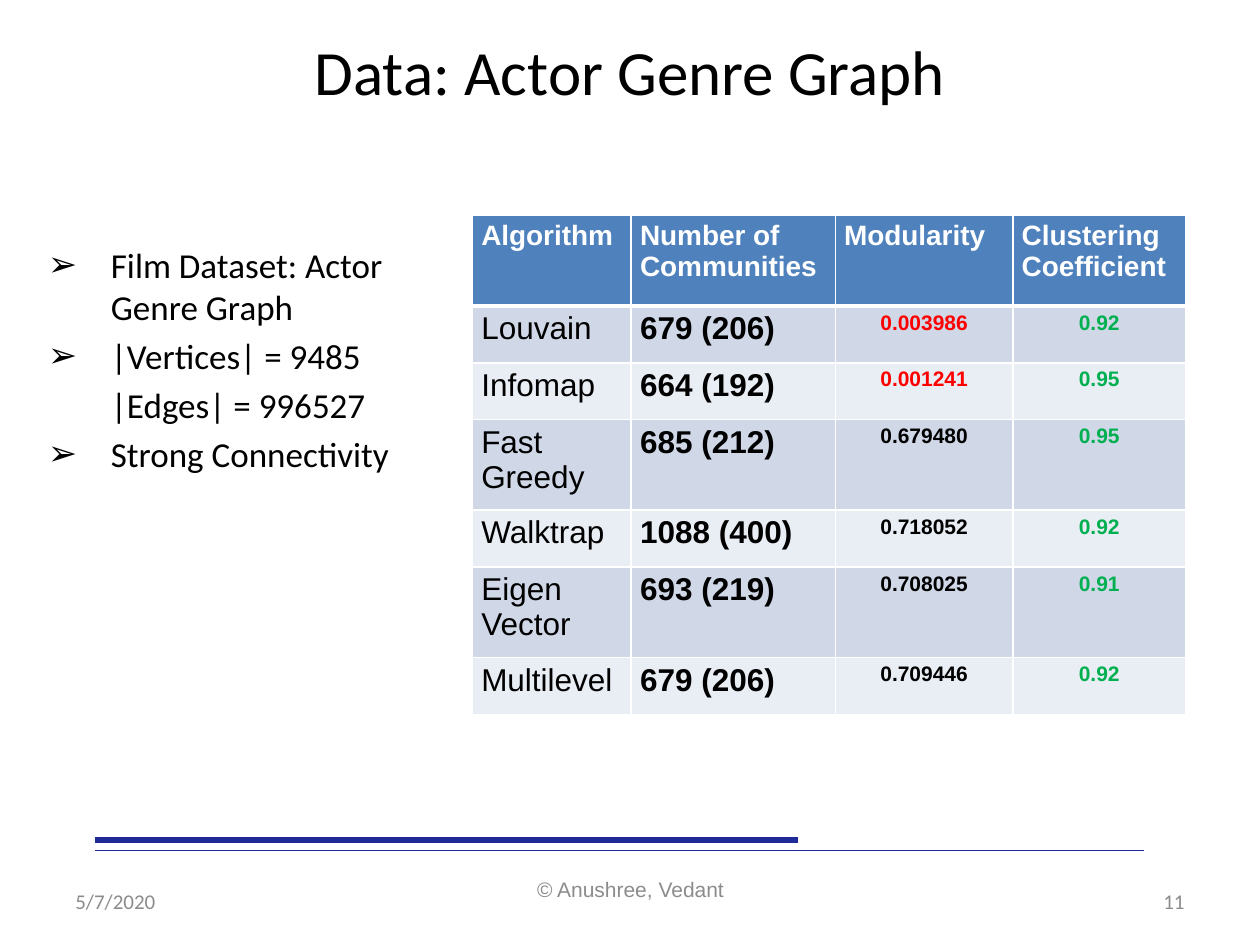
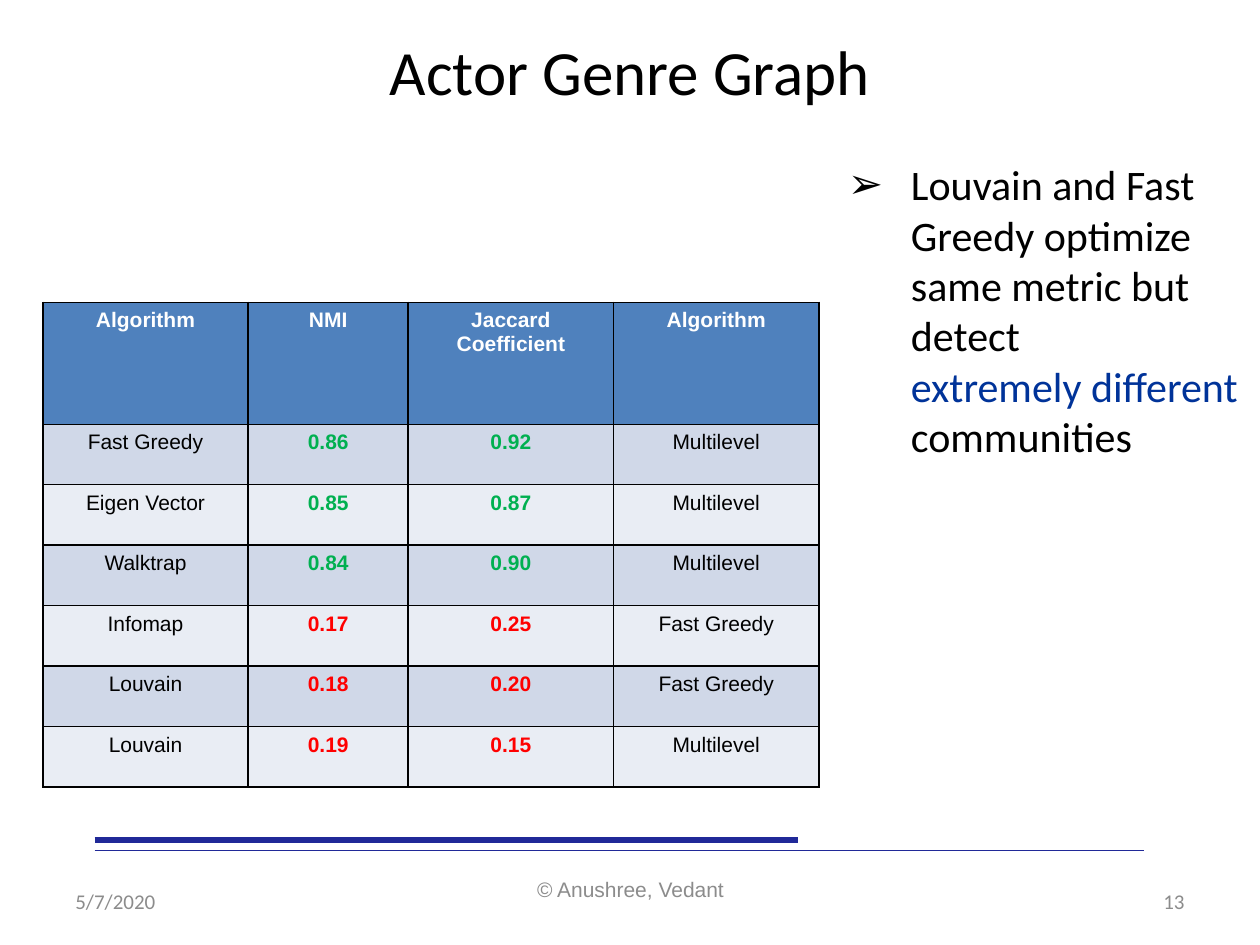
from dataclasses import dataclass

from lxml import etree
from pptx import Presentation, util as u
from pptx.dml.color import RGBColor
from pptx.enum import shapes, text
from pptx.oxml import ns

WIDTH, HEIGHT = u.Inches(10), u.Inches(7.5)
BLACK, WHITE, GREY, RULE_BLUE = "000000", "FFFFFF", "8C8C8C", "202998"
RED, GREEN, EMPHASIS = "FF0000", "00B050", "003399"
HEADER_FILL, BAND_FILLS = "4F81BD", ("D0D8E8", "E9EDF4")
LEFT, CENTER, RIGHT = text.PP_ALIGN.LEFT, text.PP_ALIGN.CENTER, text.PP_ALIGN.RIGHT
NBSP = chr(160)


@dataclass
class Box:
    """A place given in percent of the slide's width and height."""
    left: float
    top: float
    width: float
    height: float

    def lengths(self) -> tuple:
        return across(self.left), down(self.top), across(self.width), down(self.height)


@dataclass
class Column:
    """A table column; numbers under `limit` are red, other entries take `color`."""
    header: str
    width: float
    size: int = 12
    bold: bool = False
    align: text.PP_ALIGN = CENTER
    color: str = BLACK
    limit: float = 0


@dataclass
class TableStyle:
    header_size: int
    header_align: text.PP_ALIGN
    margins: tuple
    border: str
    header_rule: float


@dataclass
class Footer:
    box: Box
    align: text.PP_ALIGN
    font: str


@dataclass
class Item:
    """A list paragraph made of (text, colour) runs."""
    runs: list
    bullet: bool = True


TITLE_BOX = Box(5, 2.27, 90, 10.4)
RULES = [(90, 90.8, 0.75), (88.9, 63.3, 3)]  # height, right end, weight
FOOTERS = [
    Footer(Box(5, 92.67, 23.3, 5.33), LEFT, "Calibri"),
    Footer(Box(34.2, 91.4, 31.7, 5.33), CENTER, "Arial"),
    Footer(Box(71.7, 92.67, 23.3, 5.33), RIGHT, "Calibri"),
]


def across(percent: float) -> int:
    return round(WIDTH * percent / 100)


def down(percent: float) -> int:
    return round(HEIGHT * percent / 100)


def rgb(color: str) -> RGBColor:
    return RGBColor.from_string(color)


def set_font(font, name: str, size: int, color: str, bold: bool = False) -> None:
    font.name, font.size, font.bold = name, u.Pt(size), bold
    font.color.rgb = rgb(color)


def place(shape, box: Box) -> None:
    shape.left, shape.top, shape.width, shape.height = box.lengths()


def add_rule(slide, top: float, right: float, weight: float) -> None:
    rule = slide.shapes.add_connector(
        shapes.MSO_CONNECTOR.STRAIGHT, across(7.5), down(top), across(right), down(top))
    rule.line.color.rgb = rgb(RULE_BLUE)
    rule.line.width = u.Pt(weight)
    etree.SubElement(rule._element.spPr, ns.qn("a:effectLst"))


def add_footer(slide, footer: Footer, words: str) -> None:
    frame = slide.shapes.add_textbox(*footer.box.lengths()).text_frame
    frame.word_wrap = True
    frame.vertical_anchor = text.MSO_ANCHOR.MIDDLE
    paragraph = frame.paragraphs[0]
    paragraph.text, paragraph.alignment = words, footer.align
    set_font(paragraph.font, footer.font, 12, GREY)


def add_slide(presentation, title: str, number: int):
    """Add a slide with the shared title, rules and footers."""
    slide = presentation.slides.add_slide(presentation.slide_layouts[1])
    heading = slide.shapes.title
    place(heading, TITLE_BOX)
    frame = heading.text_frame
    frame.text = title
    frame.auto_size = text.MSO_AUTO_SIZE.NONE
    frame.vertical_anchor = text.MSO_ANCHOR.MIDDLE
    frame.paragraphs[0].alignment = CENTER
    set_font(frame.paragraphs[0].font, "Calibri", 36, BLACK)
    for rule in RULES:
        add_rule(slide, *rule)
    for footer, words in zip(FOOTERS, ("5/7/2020", "© Anushree, Vedant", str(number))):
        add_footer(slide, footer, words)
    return slide


def set_bullet(paragraph, bullet: bool) -> None:
    properties = paragraph._p.get_or_add_pPr()
    indent = u.Inches(0.5)
    properties.set("marL", str(indent))
    properties.set("indent", str(-indent if bullet else 0))
    if bullet:
        etree.SubElement(properties, ns.qn("a:buChar")).set("char", "➢")
    else:
        etree.SubElement(properties, ns.qn("a:buNone"))


def fill_list(slide, box: Box, size: int, items: list[Item]) -> None:
    body = slide.placeholders[1]
    place(body, box)
    frame = body.text_frame
    frame.auto_size = text.MSO_AUTO_SIZE.NONE
    for index, item in enumerate(items):
        paragraph = frame.add_paragraph() if index else frame.paragraphs[0]
        set_bullet(paragraph, item.bullet)
        paragraph.space_before = u.Pt(0.2 * size if index else 0)
        set_font(paragraph.font, "Calibri", size, BLACK)
        for words, color in item.runs:
            run = paragraph.add_run()
            run.text = words
            run.font.color.rgb = rgb(color)


def set_borders(cell, color: str, top: float, bottom: float) -> None:
    properties = cell._tc.get_or_add_tcPr()
    for side, weight in (("L", 1), ("R", 1), ("T", top), ("B", bottom)):
        line = etree.SubElement(properties, ns.qn(f"a:ln{side}"), w=str(u.Pt(weight)))
        solid = etree.SubElement(line, ns.qn("a:solidFill"))
        etree.SubElement(solid, ns.qn("a:srgbClr"), val=color)


def write_cell(cell, words: str, fill: str, size: int, align: text.PP_ALIGN,
               color: str, bold: bool, margins: tuple) -> None:
    cell.fill.solid()
    cell.fill.fore_color.rgb = rgb(fill)
    cell.margin_left = cell.margin_right = u.Inches(margins[0])
    cell.margin_top = cell.margin_bottom = u.Inches(margins[1])
    paragraph = cell.text_frame.paragraphs[0]
    paragraph.text, paragraph.alignment = words, align
    set_font(paragraph.font, "Arial", size, color, bold)


def add_table(slide, left: float, top: float, heights: list[float],
              columns: list[Column], rows: list[tuple], style: TableStyle) -> None:
    box = Box(left, top, sum(column.width for column in columns), sum(heights))
    table = slide.shapes.add_table(len(heights), len(columns), *box.lengths()).table
    for row, height in zip(table.rows, heights):
        row.height = down(height)
    for x, column in enumerate(columns):
        table.columns[x].width = across(column.width)
        header = table.cell(0, x)
        set_borders(header, style.border, 1, style.header_rule)
        write_cell(header, column.header, HEADER_FILL, style.header_size,
                   style.header_align, WHITE, True, style.margins)
        for y, row in enumerate(rows, start=1):
            cell, words = table.cell(y, x), row[x]
            low = column.limit and float(words) < column.limit
            set_borders(cell, style.border, style.header_rule if y == 1 else 1, 1)
            write_cell(cell, words, BAND_FILLS[(y - 1) % 2], column.size, column.align,
                       RED if low else column.color, column.bold, style.margins)


def build_data_slide(presentation) -> None:
    slide = add_slide(presentation, "Data: Actor Genre Graph", 11)
    columns = [
        Column("Algorithm", 12.6, 18, align=LEFT),
        Column("Number of Communities", 16.2, 18, True, LEFT),
        Column("Modularity", 14.1, bold=True, limit=0.1),
        Column("Clustering Coefficient", 13.7, bold=True, color=GREEN),
    ]
    rows = [
        ("Louvain", "679 (206)", "0.003986", "0.92"),
        ("Infomap", "664 (192)", "0.001241", "0.95"),
        ("Fast Greedy", "685 (212)", "0.679480", "0.95"),
        ("Walktrap", "1088 (400)", "0.718052", "0.92"),
        ("Eigen Vector", "693 (219)", "0.708025", "0.91"),
        ("Multilevel", "679 (206)", "0.709446", "0.92"),
    ]
    tall, low = 9.6, 6
    heights = [tall] + [tall if " " in row[0] else low for row in rows]
    add_table(slide, 37.5, 22.8, heights, columns, rows,
              TableStyle(16, LEFT, (0.07, 0.04), WHITE, 3))
    fill_list(slide, Box(2.8, 25.07, 30.7, 50.67), 20, [
        Item([("Film Dataset: Actor Genre Graph", BLACK)]),
        Item([("|Vertices| = 9485", BLACK)]),
        Item([("|Edges| = 996527", BLACK)], bullet=False),
        Item([("Strong Connectivity", BLACK)]),
    ])


def build_comparison_slide(presentation) -> None:
    slide = add_slide(presentation, "Actor Genre Graph", 13)
    columns = [
        Column("Algorithm", 16.3),
        Column("NMI", 12.7, bold=True, color=GREEN, limit=0.5),
        Column("Jaccard Coefficient", 16.3, bold=True, color=GREEN, limit=0.5),
        Column("Algorithm", 16.3),
    ]
    rows = [
        ("Fast Greedy", "0.86", "0.92", "Multilevel"),
        ("Eigen Vector", "0.85", "0.87", "Multilevel"),
        ("Walktrap", "0.84", "0.90", "Multilevel"),
        ("Infomap", "0.17", "0.25", "Fast Greedy"),
        ("Louvain", "0.18", "0.20", "Fast Greedy"),
        ("Louvain", "0.19", "0.15", "Multilevel"),
    ]
    add_table(slide, 3.4, 32, [12.9] + [6.4] * len(rows), columns, rows,
              TableStyle(12, CENTER, (0.1, 0.05), BLACK, 1))
    fill_list(slide, Box(66.3, 16.13, 33.4, 41.73), 24, [
        Item([("Louvain and Fast Greedy optimize same metric but detect ", BLACK),
              (f"extremely{NBSP}different", EMPHASIS),
              (" communities", BLACK)]),
    ])


def main() -> None:
    presentation = Presentation()
    presentation.slide_width, presentation.slide_height = WIDTH, HEIGHT
    build_data_slide(presentation)
    build_comparison_slide(presentation)
    presentation.save("out.pptx")


if __name__ == "__main__":
    main()
